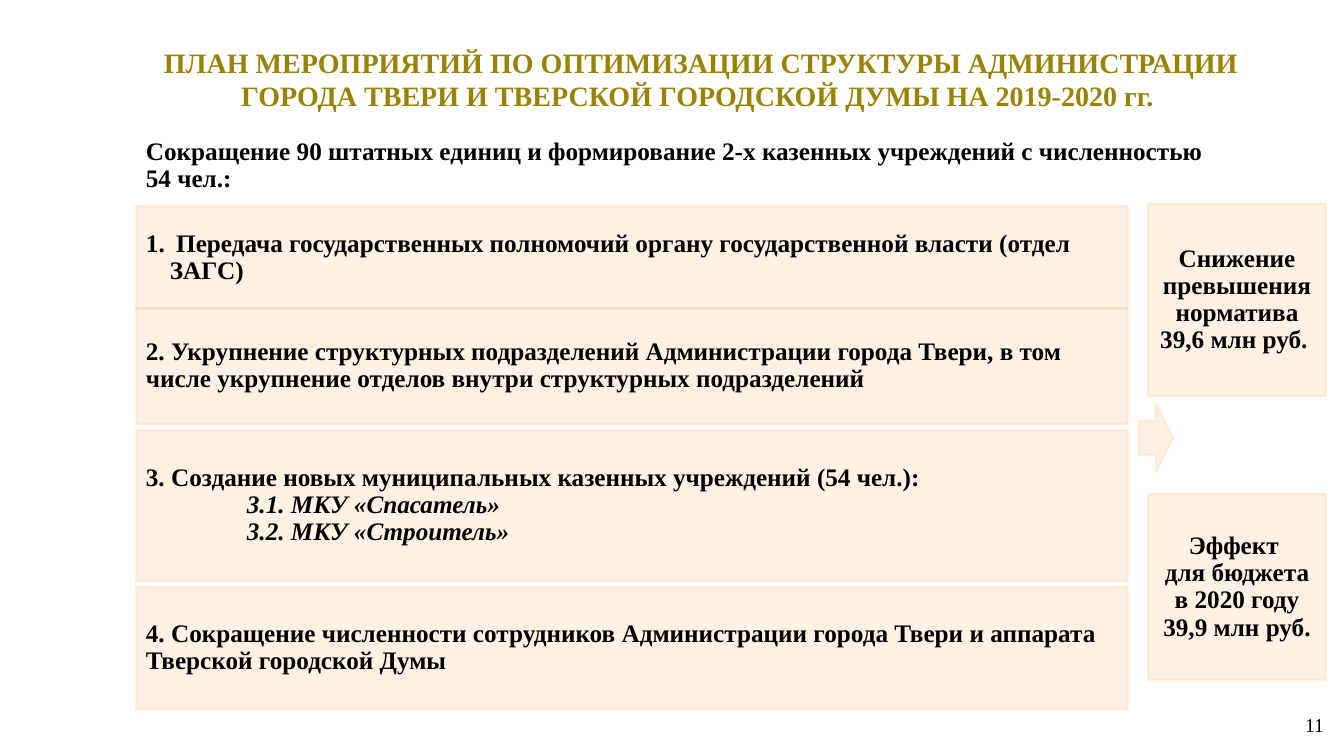
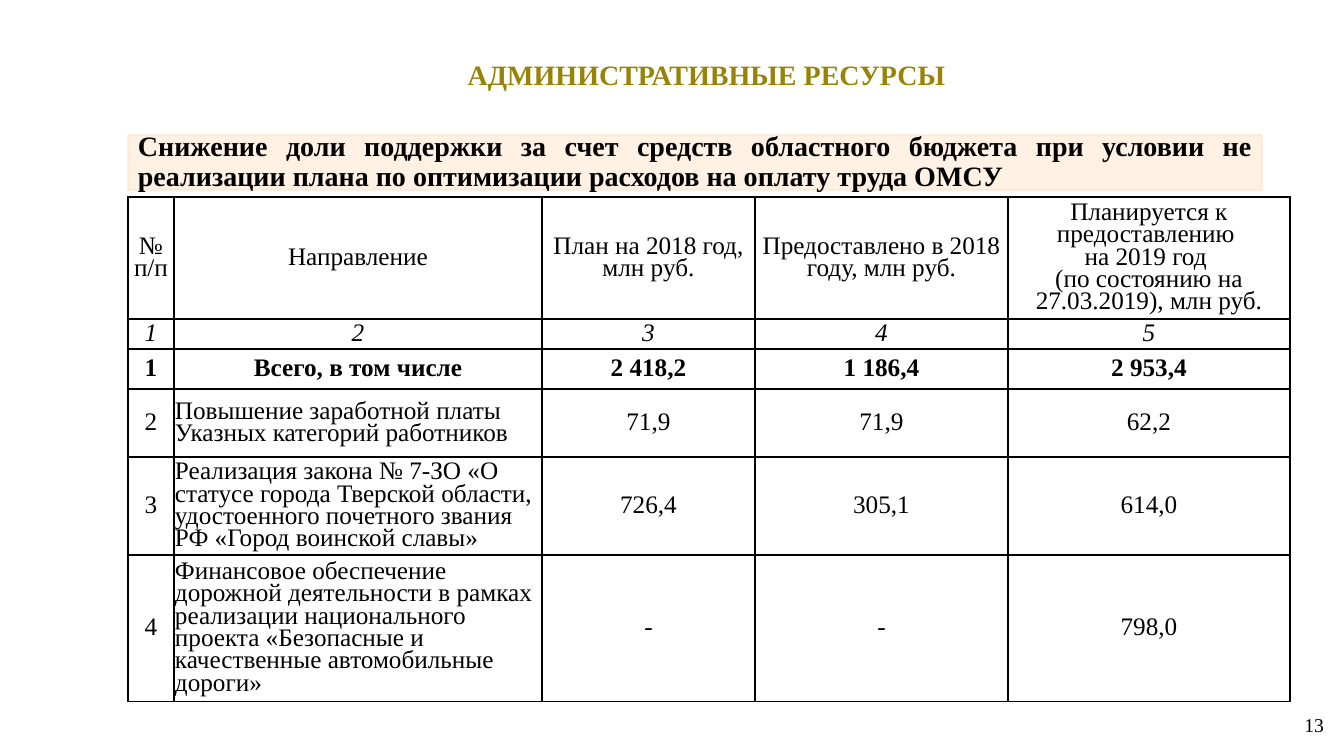
from dataclasses import dataclass

from lxml import etree
from pptx import Presentation
from pptx import util as u
from pptx.dml.color import RGBColor
from pptx.enum import shapes, text
from pptx.oxml import ns


@dataclass(frozen=True)
class Theme:
    font: str = "Times New Roman"
    title: RGBColor = RGBColor(0x99, 0x83, 0x07)
    ink: RGBColor = RGBColor(0, 0, 0)
    peach: RGBColor = RGBColor(0xFF, 0xCC, 0x99)
    peach_alpha: int = 26000
    heading_size: int = 20
    body_size: int = 18
    number_size: int = 14
    outline: float = 1.75
    tight: float = 0.9
    table_spacing: float = 0.8


THEME = Theme()
PX = 914400 / 100.8
LEFT, CENTER, RIGHT, JUSTIFY = (text.PP_ALIGN.LEFT, text.PP_ALIGN.CENTER,
                                text.PP_ALIGN.RIGHT, text.PP_ALIGN.JUSTIFY)
MIDDLE = text.MSO_ANCHOR.MIDDLE


def write(frame, lines, size=THEME.body_size, align=LEFT, spacing=THEME.tight,
          bold=True, italic=False, color=THEME.ink):
    """Fill a text frame with one paragraph per line."""
    frame.word_wrap = True
    for index, line in enumerate(lines):
        para = frame.paragraphs[0] if index == 0 else frame.add_paragraph()
        para.alignment, para.line_spacing = align, spacing
        for part, words in enumerate(line.split("\n")):
            if part:
                para.add_line_break()
            span = para.add_run()
            span.text = words
            span.font.name, span.font.size = THEME.font, u.Pt(size)
            span.font.bold, span.font.italic = bold, italic
            span.font.color.rgb = color


def panel(page, kind, bounds):
    """Add a translucent peach shape."""
    shape = page.shapes.add_shape(kind, *[round(v * PX) for v in bounds])
    shape.shadow.inherit = False
    shape.fill.solid()
    shape.fill.fore_color.rgb = THEME.peach
    shape.line.color.rgb = THEME.peach
    shape.line.width = u.Pt(THEME.outline)
    for color in list(shape.element.spPr.iter(ns.qn("a:srgbClr"))):
        etree.SubElement(color, ns.qn("a:alpha"), val=str(THEME.peach_alpha))
    shape.text_frame.vertical_anchor = MIDDLE
    return shape


deck = Presentation()
deck.slide_width, deck.slide_height = round(1344 * PX), round(756 * PX)

# Titles and page numbers
headings = [
    ("ПЛАН МЕРОПРИЯТИЙ ПО ОПТИМИЗАЦИИ СТРУКТУРЫ АДМИНИСТРАЦИИ ГОРОДА ТВЕРИ "
     "И ТВЕРСКОЙ ГОРОДСКОЙ ДУМЫ НА 2019-2020 гг. ", (119, 42, 1164, 74), "11"),
    ("АДМИНИСТРАТИВНЫЕ РЕСУРСЫ", (130, 37, 1153, 74), "13"),
]
pages = []
for heading, bounds, number in headings:
    page = deck.slides.add_slide(deck.slide_layouts[5])
    title = page.shapes.title
    title.left, title.top, title.width, title.height = [round(v * PX) for v in bounds]
    title.text_frame.auto_size = text.MSO_AUTO_SIZE.NONE
    title.text_frame.vertical_anchor = MIDDLE
    write(title.text_frame, [heading], THEME.heading_size, CENTER, 1.0, color=THEME.title)
    box = page.shapes.add_textbox(*[round(v * PX) for v in (1099, 708, 235, 40)])
    write(box.text_frame, [number], THEME.number_size, RIGHT, 1.0, bold=False)
    pages.append(page)
plan, resources = pages

# Plan: introduction
box = plan.shapes.add_textbox(*[round(v * PX) for v in (136, 134, 1131, 66)])
write(box.text_frame, ["Сокращение 90 штатных единиц и формирование 2-х казенных "
                       "учреждений с численностью\n54 чел.:"])

# Plan: four measures
measures = [
    (206, 103, [" Передача государственных полномочий органу государственной власти "
                "(отдел ЗАГС)"]),
    (308, 116, ["2. Укрупнение структурных подразделений Администрации города Твери, "
                "в том числе укрупнение отделов внутри структурных подразделений"]),
    (430, 151, ["3. Создание новых муниципальных казенных учреждений (54 чел.):",
                "3.1. МКУ «Спасатель»", "3.2. МКУ «Строитель»"]),
    (587, 122, ["4. Сокращение численности сотрудников Администрации города Твери "
                "и аппарата Тверской городской Думы"]),
]
frames = []
for top, height, lines in measures:
    frame = panel(plan, shapes.MSO_SHAPE.RECTANGLE, (136, top, 992, height)).text_frame
    write(frame, lines)
    frames.append(frame)

numbered = frames[0].paragraphs[0]._p.get_or_add_pPr()
numbered.set("marL", str(round(24 * PX)))
numbered.set("indent", str(round(-24 * PX)))
etree.SubElement(numbered, ns.qn("a:buFont"), typeface="+mj-lt")
etree.SubElement(numbered, ns.qn("a:buAutoNum"), type="arabicPeriod")

for para in frames[2].paragraphs[1:]:
    para._p.get_or_add_pPr().set("marL", str(round(101 * PX)))
    para.runs[0].font.italic = True

# Plan: arrow and results
panel(plan, shapes.MSO_SHAPE.RIGHT_ARROW, (1139, 404, 34, 68))
results = [
    (204, 192, ["Снижение превышения норматива", "39,6 млн руб. "]),
    (494, 186, ["Эффект ", "для бюджета в 2020 году 39,9 млн руб."]),
]
for top, height, lines in results:
    result = panel(plan, shapes.MSO_SHAPE.RECTANGLE, (1148, top, 178, height))
    write(result.text_frame, lines, align=CENTER)

# Resources: band
band = panel(resources, shapes.MSO_SHAPE.RECTANGLE, (128, 135, 1134, 55))
write(band.text_frame, ["Снижение доли поддержки за счет средств областного бюджета при условии "
                        "не реализации плана по оптимизации расходов на оплату труда ОМСУ"],
      THEME.heading_size, JUSTIFY)

# Resources: table
widths = [46, 368, 213, 253, 282]
heights = [122, 30, 40, 68, 98, 146]
rows = [
    ["№ п/п", "Направление", "План на 2018 год, млн руб.",
     "Предоставлено в 2018 году, млн руб.",
     ["Планируется к предоставлению ", "на 2019 год ",
      "(по состоянию на 27.03.2019), млн руб."]],
    ["1", "2", "3", "4", "5"],
    ["1", "Всего, в том числе", "2 418,2", "1 186,4", "2 953,4"],
    ["2", "Повышение заработной платы Указных категорий работников",
     "71,9", "71,9", "62,2"],
    ["3", "Реализация закона № 7-ЗО «О статусе города Тверской области, удостоенного "
          "почетного звания РФ «Город воинской славы»", "726,4", "305,1", "614,0"],
    ["4", "Финансовое обеспечение дорожной деятельности в рамках реализации национального "
          "проекта «Безопасные и качественные автомобильные дороги»", "-", "-", "798,0"],
]
bounds = (128, 197, sum(widths), sum(heights))
table = resources.shapes.add_table(len(rows), len(widths),
                                   *[round(v * PX) for v in bounds]).table
table.first_row = table.horz_banding = False
for column, width in zip(table.columns, widths):
    column.width = round(width * PX)
for r, (height, values) in enumerate(zip(heights, rows)):
    table.rows[r].height = round(height * PX)
    for c, value in enumerate(values):
        cell = table.cell(r, c)
        cell.margin_left = cell.margin_right = cell.margin_top = round(PX)
        cell.margin_bottom = 0
        cell.vertical_anchor = MIDDLE
        for side in ("lnL", "lnR", "lnT", "lnB"):
            border = etree.SubElement(cell._tc.get_or_add_tcPr(), ns.qn("a:" + side),
                                      w=str(u.Pt(1)))
            solid = etree.SubElement(border, ns.qn("a:solidFill"))
            etree.SubElement(solid, ns.qn("a:srgbClr"), val=str(THEME.ink))
        cell.fill.background()
        write(cell.text_frame, value if isinstance(value, list) else [value],
              align=LEFT if c == 1 and r > 2 else CENTER,
              spacing=THEME.table_spacing, bold=r == 2, italic=r == 1)

deck.save("out.pptx")
